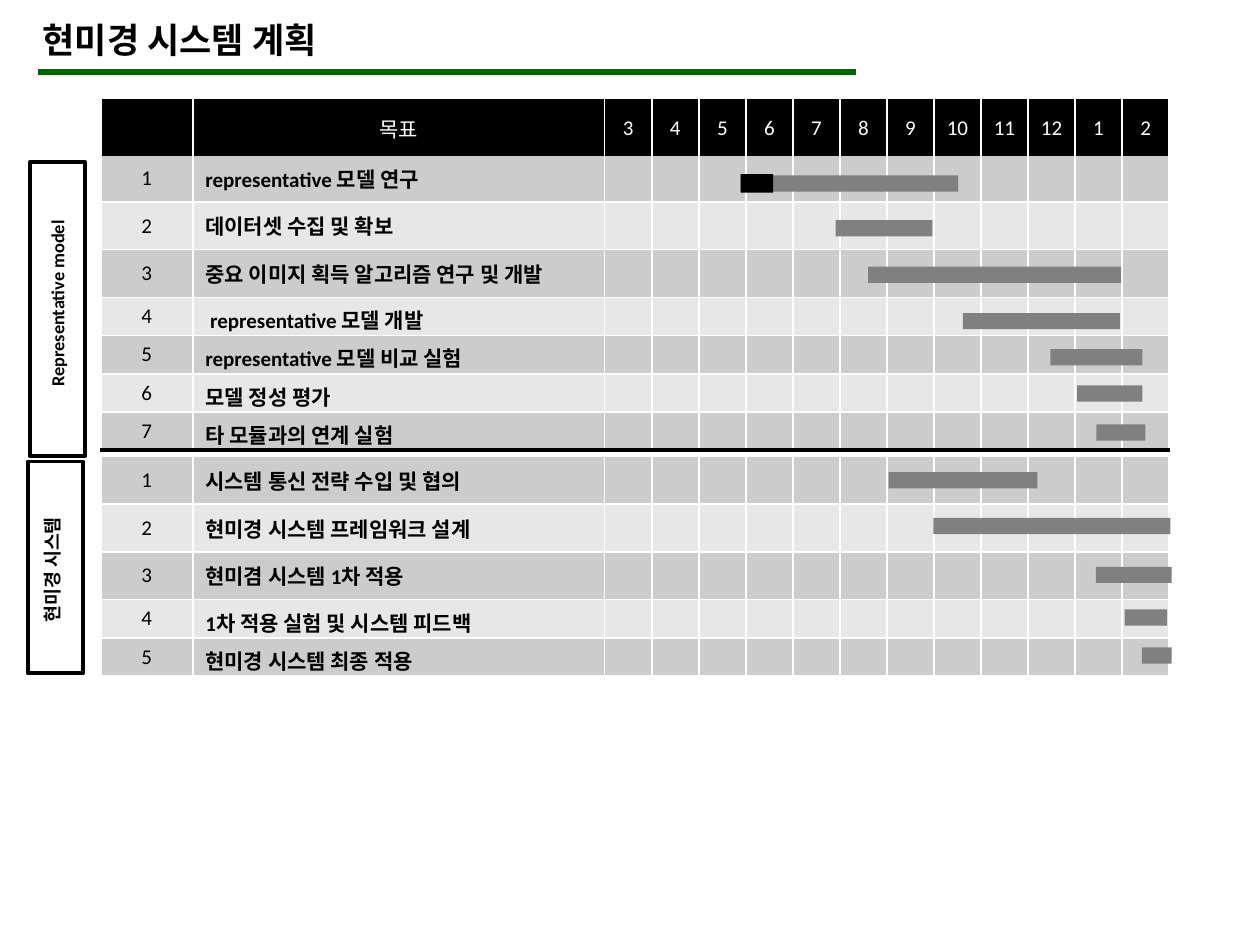
from lxml import etree
from pptx import Presentation
from pptx.dml.color import RGBColor
from pptx.enum.shapes import MSO_CONNECTOR, MSO_SHAPE
from pptx.enum.text import MSO_ANCHOR, PP_ALIGN
from pptx.oxml.ns import qn
from pptx.util import Pt

BLACK = RGBColor(0x00, 0x00, 0x00)
WHITE = RGBColor(0xFF, 0xFF, 0xFF)
GREEN = RGBColor(0x00, 0x66, 0x00)
DARK_BAND = RGBColor(0xCC, 0xCC, 0xCC)
LIGHT_BAND = RGBColor(0xE7, 0xE7, 0xE7)
BAR_GRAY = RGBColor(0x80, 0x80, 0x80)
RECT = MSO_SHAPE.RECTANGLE
STRAIGHT = MSO_CONNECTOR.STRAIGHT
MIDDLE = MSO_ANCHOR.MIDDLE
LEFT, CENTER = PP_ALIGN.LEFT, PP_ALIGN.CENTER

TABLE_LEFT = 57.6
MONTHS = [str(m) for m in (*range(3, 13), 1, 2)]
COLUMNS = [52.56, 235.44] + [26.88] * len(MONTHS)
HEADER, TALL, SHORT = 33.8, 27.3, 21.8

MODEL_TASKS = [
    "representative 모델 연구",
    "데이터셋 수집 및 확보",
    "중요 이미지 획득 알고리즘 연구 및 개발",
    " representative 모델 개발",
    "representative 모델 비교 실험",
    "모델 정성 평가",
    "타 모듈과의 연계 실험",
]
SYSTEM_TASKS = [
    "시스템 통신 전략 수입 및 협의",
    "현미경 시스템 프레임워크 설계",
    "현미겸 시스템 1차 적용",
    "1차 적용 실험 및 시스템 피드백",
    "현미경 시스템 최종 적용",
]


def add_grid(top, rows, heights, fills, color, edges):
    """Add a table; edges maps (row, side) to a border that is not thin white."""
    t = s.shapes.add_table(len(rows), len(COLUMNS), Pt(TABLE_LEFT), Pt(top),
                           Pt(sum(COLUMNS)), Pt(sum(heights))).table
    t.first_row = t.horz_banding = False
    for column, width in zip(t.columns, COLUMNS):
        column.width = Pt(width)
    for i, (row, height, fill) in enumerate(zip(rows, heights, fills)):
        t.rows[i].height = Pt(height)
        for j, cell in enumerate(t.rows[i].cells):
            cell.fill.solid()
            cell.fill.fore_color.rgb = fill
            cell.vertical_anchor = MIDDLE
            is_task = j == 1 and height != HEADER
            if is_task and height == SHORT:
                cell.margin_bottom = 0
            p = cell.text_frame.paragraphs[0]
            p.text = row[j] if j < len(row) else ""
            p.alignment = LEFT if is_task else CENTER
            p.font.size = Pt(12)
            for r in p.runs:
                r.font.size, r.font.name = Pt(12), "Calibri"
                r.font.bold = is_task
                r.font.color.rgb = color
            # Borders come before the fill in the cell properties
            tc_pr = cell._tc.get_or_add_tcPr()
            for k, side in enumerate("LRTB"):
                line_color, width = edges.get((i, side), (WHITE, 1))
                ln = etree.Element(qn(f"a:ln{side}"), w=str(Pt(width)))
                solid = etree.SubElement(ln, qn("a:solidFill"))
                etree.SubElement(solid, qn("a:srgbClr"), val=str(line_color))
                tc_pr.insert(k, ln)


def add_label(text, left, top, width, height, size, font, align, rotation=0):
    box = s.shapes.add_textbox(Pt(left), Pt(top), Pt(width), Pt(height))
    box.rotation = rotation
    tf = box.text_frame
    tf.word_wrap = True
    p = tf.paragraphs[0]
    p.text = text
    p.alignment = align
    r = p.runs[0]
    r.font.size, r.font.name, r.font.bold = Pt(size), font, True
    r.font.color.rgb = BLACK


prs = Presentation()
prs.slide_width, prs.slide_height = Pt(720), Pt(540)
s = prs.slides.add_slide(prs.slide_layouts[6])

# Title and its underline
rule = s.shapes.add_connector(STRAIGHT, Pt(21.6), Pt(41.2), Pt(489), Pt(41.2))
rule.line.color.rgb = GREEN
rule.line.width = Pt(3)
etree.SubElement(rule._element.spPr, qn("a:effectLst"))
add_label("현미경 시스템 계획", 17.3, 7.2, 579.6, 31.5, 20, "Arial", LEFT)

# Month header
add_grid(56.2, [["", "목표"] + MONTHS], [HEADER], [BLACK], WHITE,
         {(0, "B"): (WHITE, 3)})

# Task tables: three tall rows, then short ones, in alternating bands
for top, tasks, edges in (
    (88.1, MODEL_TASKS, {(0, "T"): (BLACK, 3), (6, "B"): (BLACK, 3)}),
    (260.8, SYSTEM_TASKS, {}),
):
    count = len(tasks)
    rows = [[str(n), task] for n, task in enumerate(tasks, 1)]
    heights = [TALL] * 3 + [SHORT] * (count - 3)
    fills = [(DARK_BAND, LIGHT_BAND)[i % 2] for i in range(count)]
    add_grid(top, rows, heights, fills, BLACK, edges)

# Schedule bars: left, top, width, one per task; then the finished part
BAR_HEIGHT = 9.3
bars = [
    (423.2, 100.3, 124.3), (477.5, 125.8, 55.3), (496, 152.4, 144.7),
    (550.2, 178.9, 89.8), (600.2, 199.6, 52.6), (615.5, 220.2, 37.3),
    (626.6, 242.5, 28),
    (507.8, 269.8, 85), (533.4, 295.9, 135.4), (626.3, 323.9, 43.2),
    (642.6, 348.3, 24.4), (652.6, 370, 17),
]
shapes = [(x, y, w, BAR_HEIGHT, BAR_GRAY) for x, y, w in bars]
shapes.append((423.2, 99.5, 18.6, 10.6, BLACK))
for x, y, w, h, color in shapes:
    sp = s.shapes.add_shape(RECT, Pt(x), Pt(y), Pt(w), Pt(h))
    sp.shadow.inherit = False
    sp.fill.solid()
    sp.fill.fore_color.rgb = color
    sp.line.fill.background()

# Group frames with sideways labels
for frame, text, label in (
    ((17, 92.7, 31.7, 168), "Representative model", (-30.2, 163.4, 126, 20.2)),
    ((15.8, 263.7, 31.7, 121), "현미경 시스템", (-31.7, 315.4, 123.8, 20.2)),
):
    sp = s.shapes.add_shape(RECT, *(Pt(v) for v in frame))
    sp.shadow.inherit = False
    sp.fill.background()
    sp.line.color.rgb = BLACK
    sp.line.width = Pt(2.25)
    add_label(text, *label, 10.5, "Calibri", CENTER, 270)

prs.save("out.pptx")
